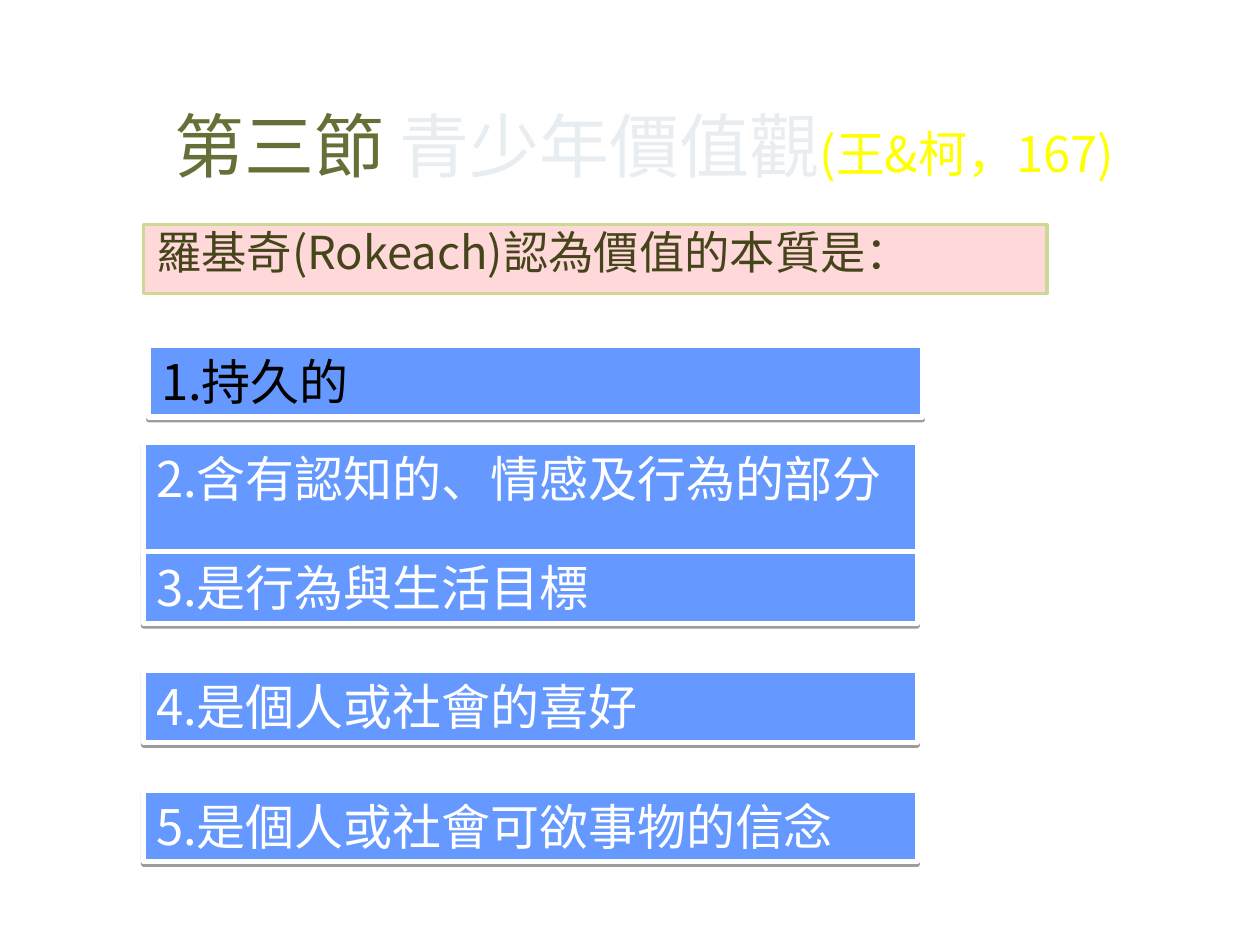
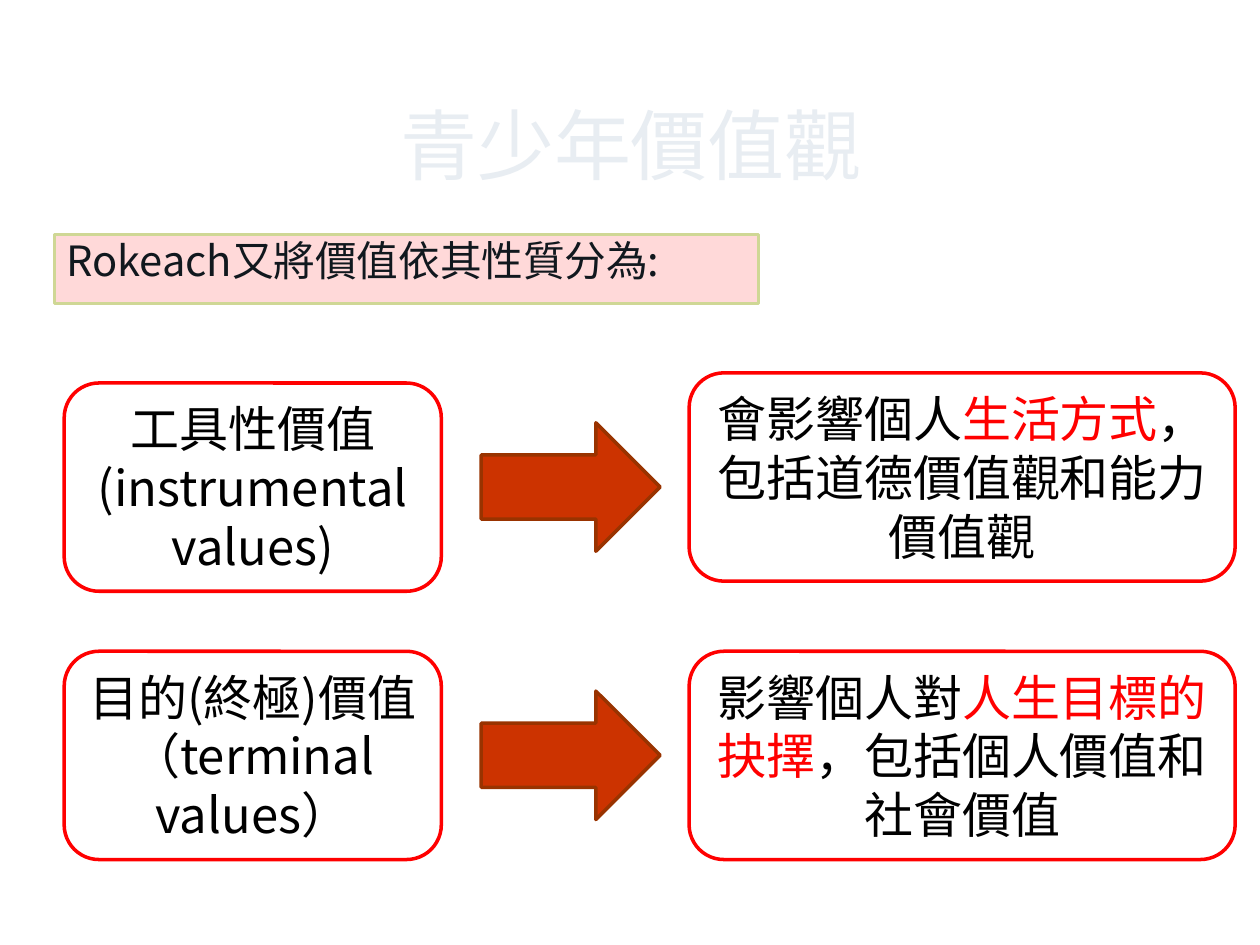
from lxml.etree import SubElement
from pptx import Presentation
from pptx.dml.color import RGBColor
from pptx.enum.shapes import MSO_SHAPE
from pptx.enum.text import MSO_ANCHOR, MSO_AUTO_SIZE, PP_ALIGN
from pptx.oxml import parse_xml
from pptx.oxml.ns import nsdecls, qn
from pptx.util import Pt

FONT = "Noto Sans CJK SC"
COLORS = {
    "olive": "676E37", "pale": "E8EDF2", "yellow": "FFFF00",
    "pink": "FFD9D9", "pink_edge": "CFD795", "moss": "45441B", "ink": "11181E",
    "blue": "6699FF", "white": "FFFFFF", "black": "000000",
    "red": "FF0000", "arrow": "CC3300", "arrow_edge": "993300",
}
SHADOW = (
    f'<a:effectLst {nsdecls("a")}><a:outerShdw blurRad="0" dist="{{distance}}" dir="{{direction}}" '
    'algn="ctr" rotWithShape="0"><a:srgbClr val="000000"><a:alpha val="{alpha}"/>'
    '</a:srgbClr></a:outerShdw></a:effectLst>'
)


def write_text(shape, runs, size, align=PP_ALIGN.LEFT, anchor=MSO_ANCHOR.TOP):
    frame = shape.text_frame
    frame.word_wrap = True
    frame.auto_size = MSO_AUTO_SIZE.NONE
    frame.vertical_anchor = anchor
    paragraph = frame.paragraphs[0]
    paragraph.alignment = align
    paragraph.font.name = FONT
    paragraph.font.size = Pt(size)
    properties = paragraph._p.pPr.find(qn("a:defRPr"))
    SubElement(properties, qn("a:ea")).set("typeface", FONT)
    for text, color in runs:
        run = paragraph.add_run()
        run.text = text
        run.font.color.rgb = RGBColor.from_string(COLORS[color])
    return paragraph


def add_box(slide, kind, place, fill, edge, width=2):
    shape = slide.shapes.add_shape(kind, *map(Pt, place))
    shape.shadow.inherit = False
    shape.fill.solid()
    shape.fill.fore_color.rgb = RGBColor.from_string(COLORS[fill])
    shape.line.color.rgb = RGBColor.from_string(COLORS[edge])
    shape.line.width = Pt(width)
    return shape


presentation = Presentation()
presentation.slide_width, presentation.slide_height = Pt(720), Pt(540)

pages = [
    (663, 40, [("第三節 ", "olive"), ("青少年價值觀", "pale"), ("(王&柯，167)", "yellow")],
     (82.1, 128.2, 516.2, 39.6), "羅基奇(Rokeach)認為價值的本質是：", 25.9, "moss"),
    (648, 44, [("青少年價值觀", "pale")],
     (31, 133.9, 402.5, 39.6), "Rokeach又將價值依其性質分為:", 23.8, "ink"),
]
slides = []
for title_width, title_size, title_runs, lead_place, lead, lead_size, lead_color in pages:
    slide = presentation.slides.add_slide(presentation.slide_layouts[5])
    slides.append(slide)
    title = slide.shapes.title
    title.left, title.top, title.width, title.height = map(Pt, (36.7, 37.4, title_width, 90))
    heading = write_text(title, title_runs, title_size, PP_ALIGN.CENTER, MSO_ANCHOR.MIDDLE)
    for run in heading.runs:
        text_shadow = SHADOW.format(distance=Pt(2), direction=2700000, alpha=100000)
        run.font._element.find(qn("a:solidFill")).addnext(parse_xml(text_shadow))
    if len(heading.runs) > 1:
        heading.runs[-1].font.size = Pt(28)
    lead_box = add_box(slide, MSO_SHAPE.RECTANGLE, lead_place, "pink", "pink_edge")
    write_text(lead_box, [(lead, lead_color)], lead_size).line_spacing = 0.9

nature_slide, kinds_slide = slides

natures = [
    ("持久的", 85, 197.3, 41, "black"),
    ("含有認知的、情感及行為的部分", 82.1, 252.7, 74.9, "white"),
    ("是行為與生活目標", 82.1, 315.2, 41, "white"),
    ("是個人或社會的喜好", 82.1, 383.3, 41, "white"),
    ("是個人或社會可欲事物的信念", 82.1, 451.4, 41, "white"),
]
for number, (nature, left, top, height, color) in enumerate(natures, 1):
    bar = add_box(nature_slide, MSO_SHAPE.RECTANGLE, (left, top, 442.1, height), "blue", "white", 3)
    properties = bar._element.spPr
    properties.remove(properties.find(qn("a:effectLst")))
    properties.append(parse_xml(SHADOW.format(distance=Pt(1.6), direction=5400000, alpha=38000)))
    write_text(bar, [(f"{number}.{nature}", color)], 28)

value_rows = [
    (218.9, 213.1, 241.6, "工具性價值(instrumental values)",
     [("會影響個人", "black"), ("生活方式", "red"), ("，包括道德價值觀和能力價值觀", "black")]),
    (372.2, 372.2, 394.9, "目的(終極)價值（terminal values）",
     [("影響個人對", "black"), ("人生目標的抉擇", "red"), ("，包括個人價值和社會價值", "black")]),
]
for kind_top, effect_top, arrow_top, kind, effect in value_rows:
    add_box(kinds_slide, MSO_SHAPE.RIGHT_ARROW, (275, arrow_top, 102.2, 73.4), "arrow", "arrow_edge")
    for left, top, width, runs in (
        (36.7, kind_top, 215.5, [(kind, "black")]),
        (393.8, effect_top, 312, effect),
    ):
        card = add_box(kinds_slide, MSO_SHAPE.ROUNDED_RECTANGLE, (left, top, width, 119), "white", "red")
        write_text(card, runs, 28, PP_ALIGN.CENTER, MSO_ANCHOR.MIDDLE)

presentation.save("out.pptx")
